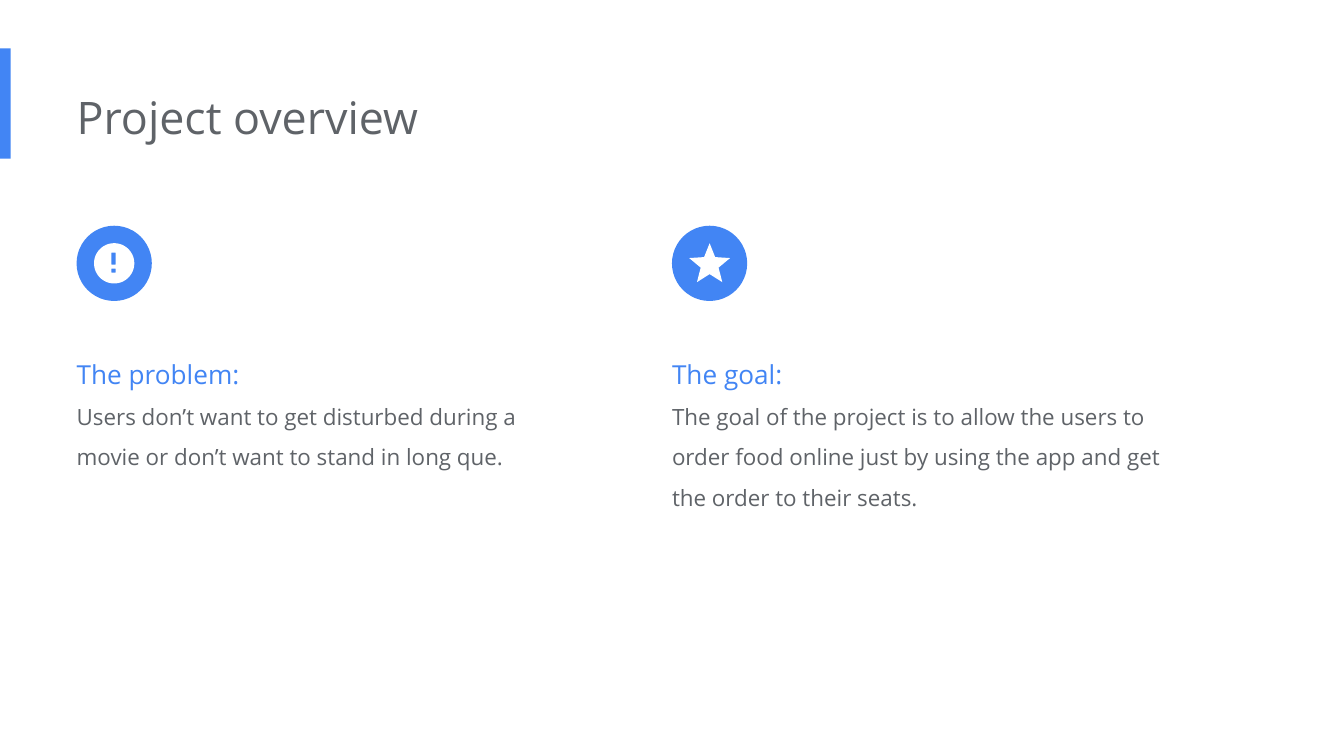
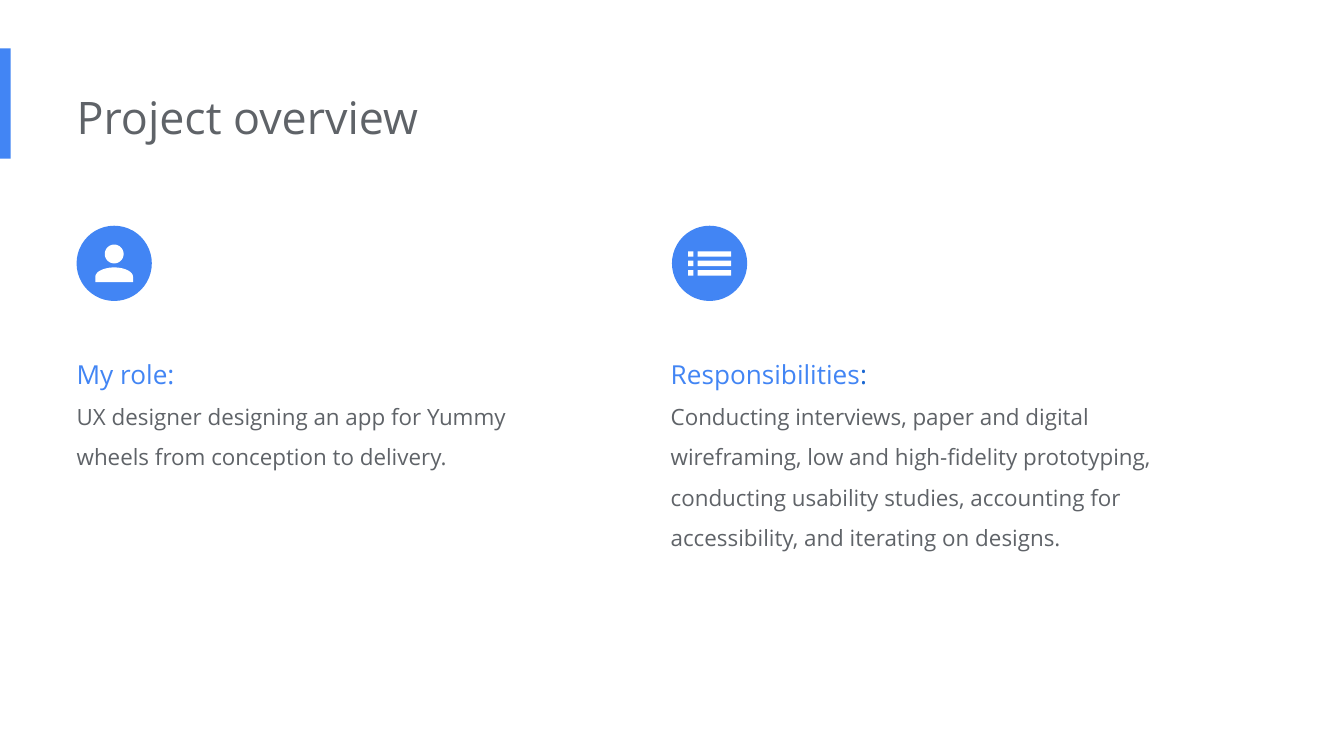
from dataclasses import dataclass
from math import cos, pi, sin

from lxml.etree import SubElement
from pptx import Presentation
from pptx.dml.color import RGBColor
from pptx.enum.shapes import MSO_SHAPE
from pptx.enum.text import MSO_ANCHOR, MSO_AUTO_SIZE, PP_ALIGN
from pptx.oxml.ns import qn
from pptx.util import Inches, Pt


@dataclass(frozen=True)
class Theme:
    font: str = "Open Sans"
    blue: RGBColor = RGBColor(0x42, 0x85, 0xF4)
    deep_blue: RGBColor = RGBColor(0x19, 0x67, 0xD2)
    grey: RGBColor = RGBColor(0x5F, 0x63, 0x68)
    white: RGBColor = RGBColor(0xFF, 0xFF, 0xFF)
    title_size: int = 24
    heading_size: int = 14
    body_size: int = 12


THEME = Theme()

# Each column: left of text, icon, heading parts, body, body height
SLIDES = [
    ("Project overview", [
        (0.57, "alert", [("The problem:", THEME.blue)],
         "Users don’t want to get disturbed during a movie or don’t want "
         "to stand in long que.", 1.16),
        (5, "star", [("The goal:", THEME.blue)],
         "The goal of the project is to allow the users to order food online "
         "just by using the app and get the order to their seats.", 1.46),
    ]),
    ("Project overview", [
        (0.57, "person", [("My role:", THEME.blue)],
         "UX designer designing an app for Yummy wheels from conception "
         "to delivery.", 1.16),
        (4.99, "list", [("Responsibilities", THEME.blue), (":", THEME.deep_blue)],
         "Conducting interviews, paper and digital wireframing, low and "
         "high-fidelity prototyping, conducting usability studies, accounting "
         "for accessibility, and iterating on designs.", 1.77),
    ]),
]

BADGE_LEFTS = (0.57, 5)
BADGE_TOP, BADGE_SIZE = 1.68, 0.56
TEXT_TOP, TEXT_WIDTH = 2.45, 3.77


def arc(x, y, rx, ry, start=0, sweep=2 * pi, steps=60):
    angles = [start + sweep * i / steps for i in range(steps + 1)]
    return [(x + rx * cos(a), y + ry * sin(a)) for a in angles]


def box(x, y, width, height):
    return [(x, y), (x + width, y), (x + width, y + height), (x, y + height)]


def star(y, outer, inner):
    radii = [outer, inner] * 5
    return [(r * sin(i * pi / 5), y - r * cos(i * pi / 5))
            for i, r in enumerate(radii)]


# Outlines in inches around the centre of the badge
ICONS = {
    "alert": [arc(0, 0, 0.15, 0.15),
              box(-0.02, -0.08, 0.03, 0.09), box(-0.02, 0.04, 0.03, 0.03)],
    "star": [star(0.01, 0.16, 0.07)],
    "person": [arc(0, -0.07, 0.07, 0.07),
               arc(0, 0.1, 0.14, 0.07, pi, pi) + [(0.14, 0.14), (-0.14, 0.14)]],
    "list": [box(x, -0.09 + 0.07 * row, width, 0.04)
             for row in range(3) for x, width in ((-0.16, 0.04), (-0.09, 0.25))],
}


def paint(shape, colour):
    shape.shadow.inherit = False
    shape.fill.solid()
    shape.fill.fore_color.rgb = colour
    shape.line.fill.background()


def add_block(slide, preset, colour, *place):
    paint(slide.shapes.add_shape(preset, *map(Inches, place)), colour)


def add_icon(slide, outlines, centre_x, centre_y):
    placed = [[(Inches(centre_x + x), Inches(centre_y + y)) for x, y in outline]
              for outline in outlines]
    builder = slide.shapes.build_freeform(*placed[0][0])
    for index, (first, *rest) in enumerate(placed):
        if index:
            builder.move_to(*first)
        builder.add_line_segments(rest, close=True)
    paint(builder.convert_to_shape(), THEME.white)


def place_text(holder, left, top, width, height):
    holder.left, holder.top = Inches(left), Inches(top)
    holder.width, holder.height = Inches(width), Inches(height)
    frame = holder.text_frame
    frame.margin_left = 0
    frame.margin_top = frame.margin_right = frame.margin_bottom = Inches(0.1)
    frame.word_wrap = True
    frame.auto_size = MSO_AUTO_SIZE.NONE
    frame.vertical_anchor = MSO_ANCHOR.TOP
    return frame


def write(paragraph, parts, size, line_spacing):
    """Fill a paragraph with (text, colour) parts, flush left and unbulleted."""
    paragraph.alignment = PP_ALIGN.LEFT
    paragraph.line_spacing = line_spacing
    paragraph.space_before = paragraph.space_after = Pt(0)
    properties = paragraph._p.get_or_add_pPr()
    properties.set("marL", "0")
    properties.set("indent", "0")
    SubElement(properties, qn("a:buNone"))
    for text, colour in parts:
        run = paragraph.add_run()
        run.text = text
        run.font.name = THEME.font
        run.font.size = Pt(size)
        run.font.color.rgb = colour


def add_overview(deck, title, columns):
    slide = deck.slides.add_slide(deck.slide_layouts.get_by_name("Two Content"))
    title_holder, *bodies = list(slide.placeholders)[:3]

    add_block(slide, MSO_SHAPE.RECTANGLE, THEME.blue, 0, 0.36, 0.08, 0.82)
    frame = place_text(title_holder, 0.57, 0.57, 6.73, 0.61)
    write(frame.paragraphs[0], [(title, THEME.grey)], THEME.title_size, 1.0)

    for body, badge_left, column in zip(bodies, BADGE_LEFTS, columns):
        left, icon, heading, text, height = column
        frame = place_text(body, left, TEXT_TOP, TEXT_WIDTH, height)
        write(frame.paragraphs[0], heading, THEME.heading_size, 1.5)
        write(frame.add_paragraph(), [(text, THEME.grey)], THEME.body_size, 1.5)
        add_block(slide, MSO_SHAPE.OVAL, THEME.blue,
                  badge_left, BADGE_TOP, BADGE_SIZE, BADGE_SIZE)
        add_icon(slide, ICONS[icon],
                 badge_left + BADGE_SIZE / 2, BADGE_TOP + BADGE_SIZE / 2)


def main():
    deck = Presentation()
    deck.slide_width = Inches(10)
    deck.slide_height = deck.slide_width * 9 // 16
    for title, columns in SLIDES:
        add_overview(deck, title, columns)
    deck.save("out.pptx")


if __name__ == "__main__":
    main()
